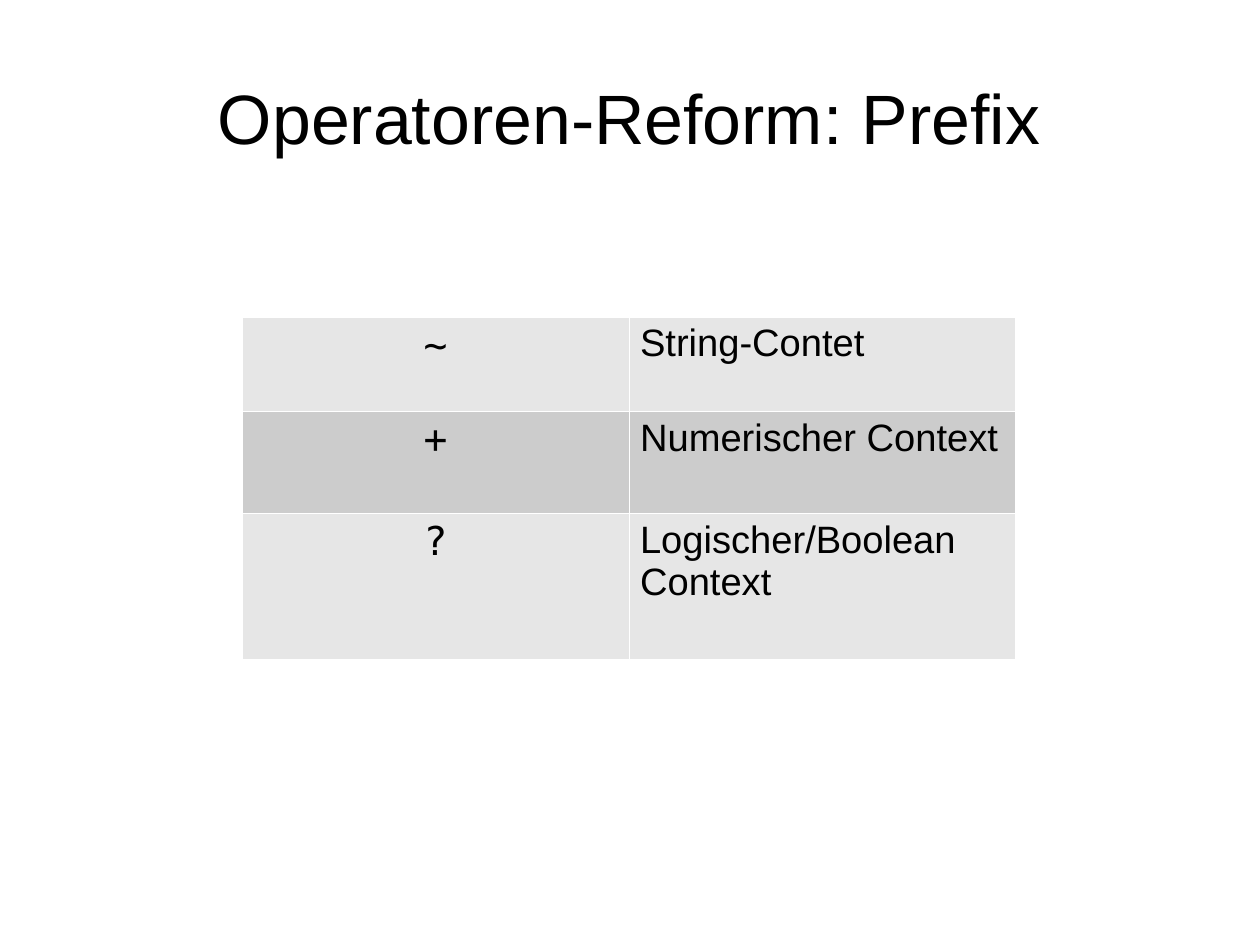
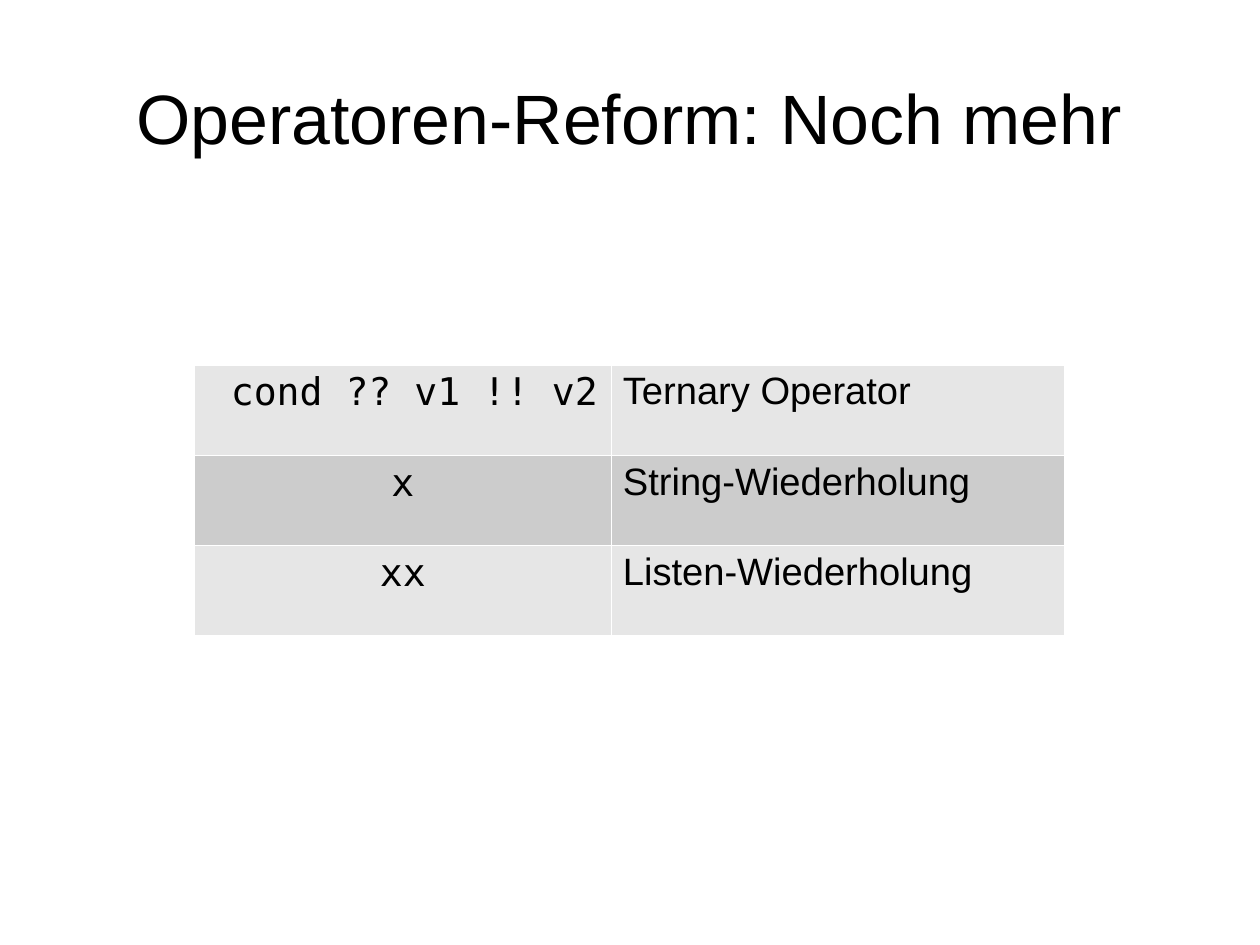
from lxml.etree import SubElement
from pptx import Presentation
from pptx.dml.color import RGBColor
from pptx.enum.text import MSO_ANCHOR, PP_ALIGN
from pptx.oxml.ns import qn
from pptx.util import Inches, Pt

CM_PER_INCH = 2.54
TEXT_FONT = "Arial"
CODE_FONT = "DejaVu Sans Mono"
INK = "000000"
BORDER = "FFFFFF"
BANDS = ("E6E6E6", "CCCCCC")
BORDER_WIDTH = Pt(0.06)
TITLE_ONLY = 5


def color(hex_value):
    return RGBColor.from_string(hex_value)


def format_text(frame, font_name, size, align):
    for paragraph in frame.paragraphs:
        paragraph.alignment = align
        for run in paragraph.runs:
            run.font.name = font_name
            run.font.size = Pt(size)
            run.font.color.rgb = color(INK)


def add_titled_slide(prs, heading):
    slide = prs.slides.add_slide(prs.slide_layouts[TITLE_ONLY])
    title = slide.shapes.title
    title.left, title.top = Inches(0.55), Inches(0.33)
    title.width, title.height = Inches(9.92), Inches(1.38)
    frame = title.text_frame
    frame.text = heading
    frame.word_wrap = True
    frame.vertical_anchor = MSO_ANCHOR.MIDDLE
    frame.margin_left = frame.margin_right = 0
    frame.margin_top = frame.margin_bottom = 0
    format_text(frame, TEXT_FONT, 44, PP_ALIGN.CENTER)
    return slide


def add_borders(cell):
    properties = cell._tc.get_or_add_tcPr()
    for position, side in enumerate(("a:lnL", "a:lnR", "a:lnT", "a:lnB")):
        line = SubElement(properties, qn(side), w=str(int(BORDER_WIDTH)))
        fill = SubElement(line, qn("a:solidFill"))
        SubElement(fill, qn("a:srgbClr"), val=BORDER)
        properties.insert(position, line)


def fill_cell(cell, text, band, font_name, size, align):
    cell.text_frame.text = text
    format_text(cell.text_frame, font_name, size, align)
    cell.margin_left = cell.margin_right = Inches(0.1)
    cell.margin_top = cell.margin_bottom = Inches(0.05)
    cell.fill.solid()
    cell.fill.fore_color.rgb = color(band)
    add_borders(cell)


def add_operator_table(slide, left, top, widths, heights, operators, code_size):
    table = slide.shapes.add_table(
        len(operators), len(widths), Inches(left), Inches(top),
        Inches(sum(widths)), Inches(sum(heights))).table
    table.first_row = False
    table.horz_banding = False
    for column, width in zip(table.columns, widths):
        column.width = Inches(width)
    for index, (operator, meaning) in enumerate(operators):
        table.rows[index].height = Inches(heights[index])
        band = BANDS[index % len(BANDS)]
        fill_cell(table.cell(index, 0), operator, band,
                  CODE_FONT, code_size, PP_ALIGN.CENTER)
        fill_cell(table.cell(index, 1), meaning, band,
                  TEXT_FONT, 24, PP_ALIGN.LEFT)


def main():
    prs = Presentation()
    prs.slide_width = Inches(28 / CM_PER_INCH)
    prs.slide_height = Inches(21 / CM_PER_INCH)

    prefix = add_titled_slide(prs, "Operatoren-Reform: Prefix")
    add_operator_table(
        prefix, 2.12, 2.77, (3.38, 3.38), (0.83, 0.89, 1.28),
        (("~", "String-Contet"),
         ("+", "Numerischer Context"),
         ("?", "Logischer/Boolean\nContext")),
        code_size=25)

    more = add_titled_slide(prs, "Operatoren-Reform: Noch mehr")
    add_operator_table(
        more, 1.7, 3.19, (3.65, 3.96), (0.79,) * 3,
        ((" cond ?? v1 !! v2", "Ternary Operator"),
         ("x", "String-Wiederholung"),
         ("xx", "Listen-Wiederholung")),
        code_size=24)

    prs.save("out.pptx")


if __name__ == "__main__":
    main()
